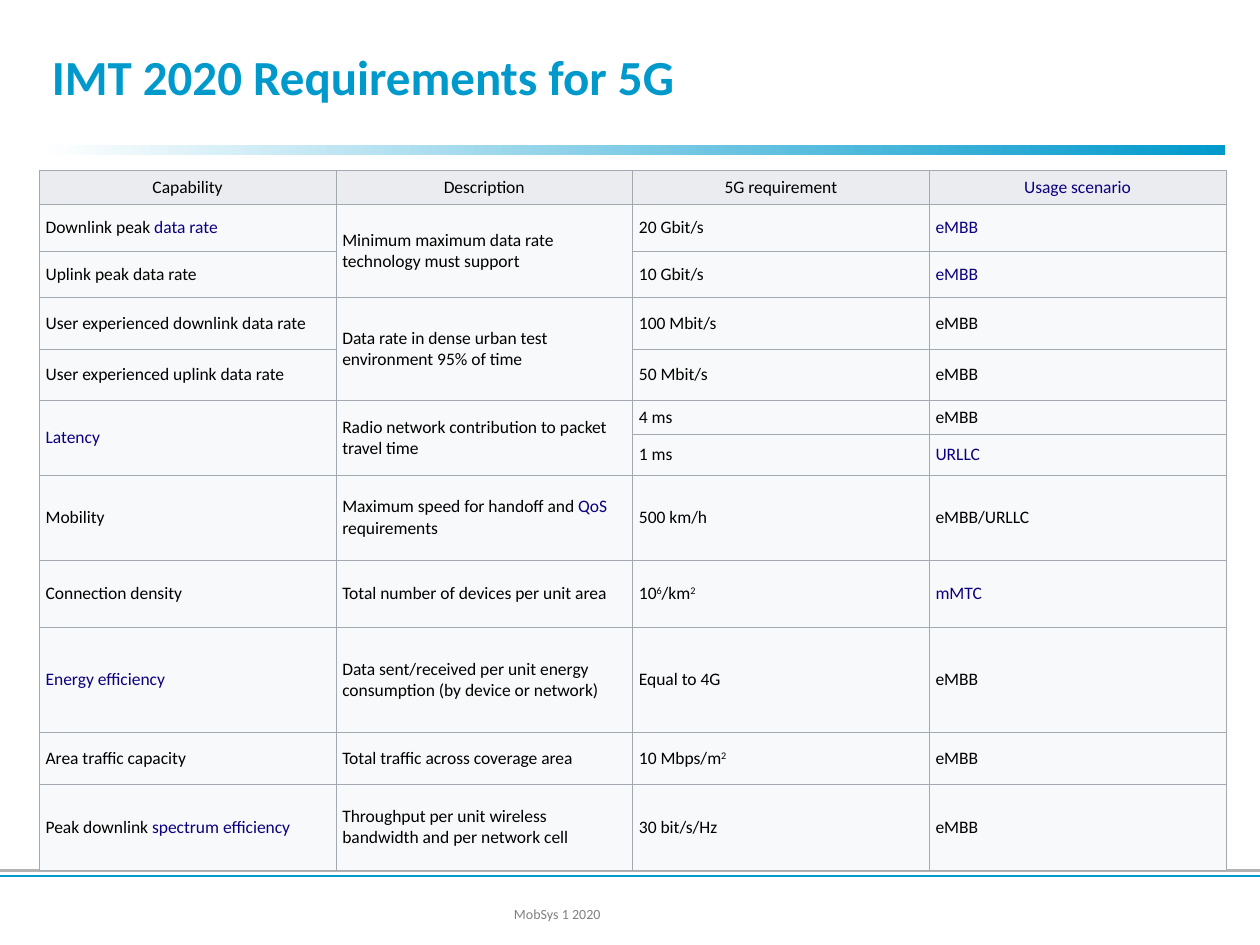
from lxml import etree
from pptx import Presentation
from pptx.dml.color import RGBColor
from pptx.enum.shapes import MSO_CONNECTOR, MSO_SHAPE
from pptx.enum.text import MSO_ANCHOR, PP_ALIGN
from pptx.oxml import parse_xml
from pptx.oxml.ns import nsdecls, qn
from pptx.util import Cm, Pt

RECTANGLE = MSO_SHAPE.RECTANGLE
STRAIGHT = MSO_CONNECTOR.STRAIGHT
MIDDLE = MSO_ANCHOR.MIDDLE
LEFT, CENTER = PP_ALIGN.LEFT, PP_ALIGN.CENTER

COLORS = {
    "accent": "0099CC",
    "white": "FFFFFF",
    "rule": "B2B2B2",
    "footer": "808080",
    "text": "000000",
    "link": "0B0080",
    "header": "EAECF0",
    "body": "F8F9FA",
    "border": "A2A9B1",
}


def add_run(paragraph, text, color, size, bold=False):
    run = paragraph.add_run()
    run.text = text
    for name, value in {"name": "Calibri", "size": Pt(size), "bold": bold}.items():
        setattr(run.font, name, value)
    run.font.color.rgb = RGBColor.from_string(COLORS[color])
    return run


def add_marked_text(paragraph, text):
    for link_index, part in enumerate(text.split("*")):
        color = "link" if link_index % 2 else "text"
        for raised_index, piece in enumerate(part.split("^")):
            if piece:
                run = add_run(paragraph, piece, color, 10)
                if raised_index % 2:
                    run._r.get_or_add_rPr().set("baseline", "30000")


presentation = Presentation()
presentation.slide_width = Cm(25.4)
presentation.slide_height = Cm(19.05)
slide = presentation.slides.add_slide(presentation.slide_layouts[5])

bar = slide.shapes.add_shape(RECTANGLE, Cm(0.79), Cm(2.93), Cm(23.9), Cm(0.2))
bar.shadow.inherit = False
bar.line.fill.background()
bar.fill.gradient()
bar.fill.gradient_angle = 0
for stop, position, color in zip(bar.fill.gradient_stops, (0, 1), ("white", "accent")):
    stop.position = position
    stop.color.rgb = RGBColor.from_string(COLORS[color])

for top, color in ((17.55, "rule"), (17.66, "accent")):
    rule = slide.shapes.add_connector(STRAIGHT, 0, Cm(top), Cm(25.4), Cm(top))
    rule.line.color.rgb = RGBColor.from_string(COLORS[color])
    rule.line.width = Pt(1.5)
    etree.SubElement(rule._element.spPr, qn("a:effectLst"))

title = slide.shapes.title
title_box = {"left": Cm(0.79), "top": Cm(0.33), "width": Cm(23.9), "height": Cm(2.41)}
for name, value in title_box.items():
    setattr(title, name, value)
title.text_frame.vertical_anchor = MIDDLE
title_paragraph = title.text_frame.paragraphs[0]
title_paragraph.alignment = LEFT
add_run(title_paragraph, "IMT 2020 Requirements for 5G", "accent", 28, True)

footer = slide.shapes.add_textbox(Cm(10.11), Cm(18.14), Cm(3), Cm(0.56))
footer.text_frame.word_wrap = True
add_run(footer.text_frame.paragraphs[0], "MobSys 1 2020", "footer", 8)

# Asterisks enclose link text and carets enclose superscripts.
requirements = [
    (0.58, "Capability", "Description", "5G requirement", "*Usage scenario*"),
    (0.94, "Downlink peak *data rate*", "Minimum maximum data rate technology must support",
     "20 Gbit/s", "*eMBB*"),
    (0.94, "Uplink peak data rate", None, "10 Gbit/s", "*eMBB*"),
    (1.04, "User experienced downlink data rate",
     "Data rate in dense urban test environment 95% of time", "100 Mbit/s", "eMBB"),
    (1.04, "User experienced uplink data rate", None, "50 Mbit/s", "eMBB"),
    (0.58, "*Latency*", "Radio network contribution to packet travel time", "4 ms", "eMBB"),
    (0.81, None, None, "1 ms", "*URLLC*"),
    (1.73, "Mobility", "Maximum speed for handoff and *QoS* requirements",
     "500 km/h", "eMBB/URLLC"),
    (1.34, "Connection density", "Total number of devices per unit area",
     "10^6^/km^2^", "*mMTC*"),
    (2.13, "*Energy efficiency*",
     "Data sent/received per unit energy consumption (by device or network)",
     "Equal to 4G", "eMBB"),
    (1.04, "Area traffic capacity", "Total traffic across coverage area",
     "10 Mbps/m^2^", "eMBB"),
    (1.73, "Peak downlink *spectrum efficiency*",
     "Throughput per unit wireless bandwidth and per network cell", "30 bit/s/Hz", "eMBB"),
]
table_height = sum(row[0] for row in requirements)
table = slide.shapes.add_table(
    len(requirements), 4, Cm(0.79), Cm(3.43), Cm(23.9), Cm(table_height)
).table
table.first_row = False
table.horz_banding = False
for column in table.columns:
    column.width = Cm(5.98)

cell_format = {"vertical_anchor": MIDDLE}
for side in ("left", "right", "top", "bottom"):
    cell_format["margin_" + side] = Cm(0.13)

for row_index, (height, *texts) in enumerate(requirements):
    table.rows[row_index].height = Cm(height)
    for column_index, text in enumerate(texts):
        cell = table.cell(row_index, column_index)
        for name, value in cell_format.items():
            setattr(cell, name, value)
        properties = cell._tc.get_or_add_tcPr()
        for edge in ("lnL", "lnR", "lnT", "lnB"):
            properties.append(parse_xml(
                f'<a:{edge} {nsdecls("a")} w="{Pt(0.28)}"><a:solidFill>'
                f'<a:srgbClr val="{COLORS["border"]}"/></a:solidFill></a:{edge}>'
            ))
        cell.fill.solid()
        fill_color = COLORS["body" if row_index else "header"]
        cell.fill.fore_color.rgb = RGBColor.from_string(fill_color)
        if text is None:
            table.cell(row_index - 1, column_index).merge(cell)
            continue
        paragraph = cell.text_frame.paragraphs[0]
        paragraph.alignment = LEFT if row_index else CENTER
        add_marked_text(paragraph, text)

presentation.save("out.pptx")
